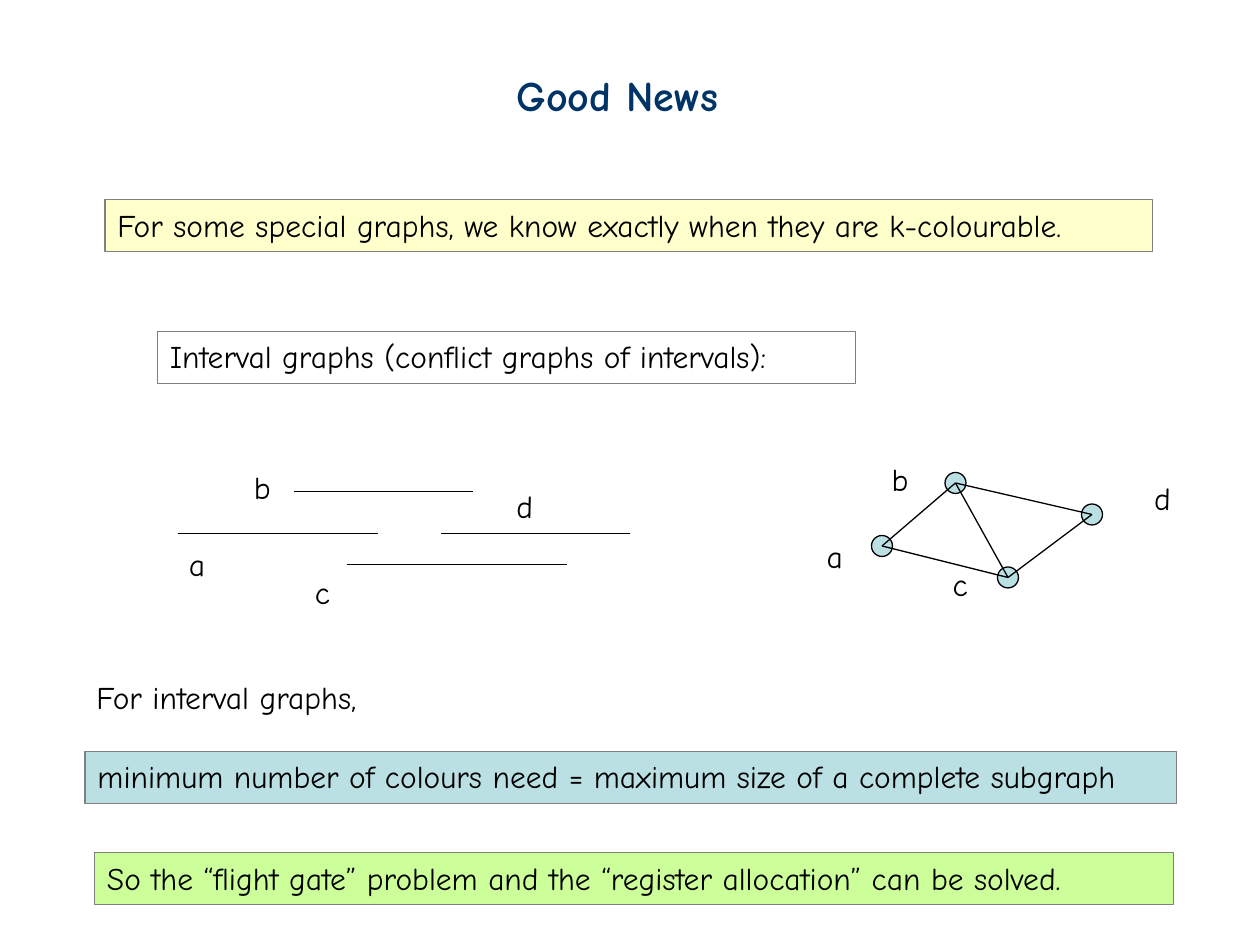
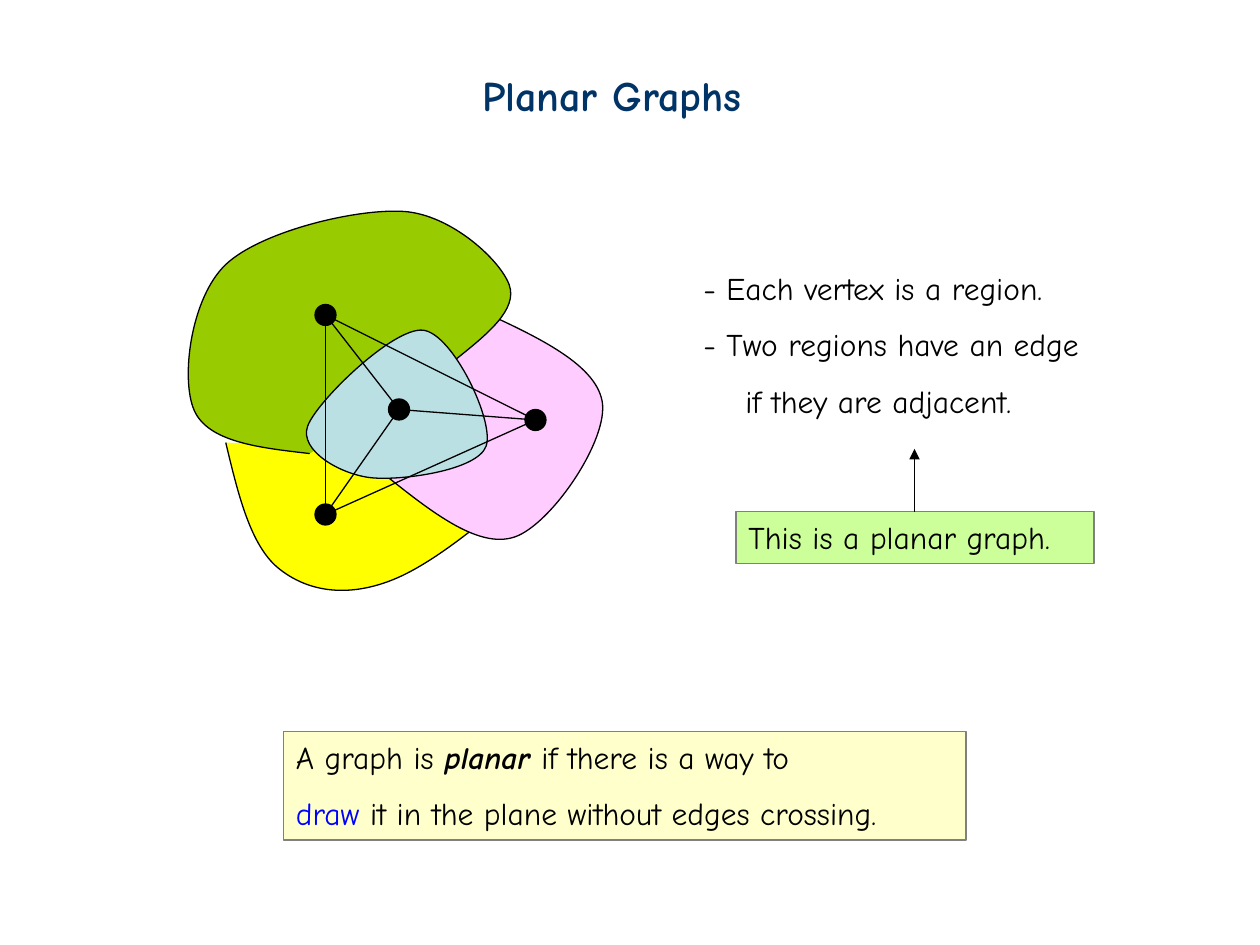
"""Build two slides on interval graphs and planar graphs."""
import dataclasses

import pptx
import pptx.dml.color
import pptx.enum.shapes
import pptx.util
from lxml import etree
from pptx.oxml.ns import qn

RGBColor = pptx.dml.color.RGBColor
BLACK = RGBColor(0x00, 0x00, 0x00)
GREY = RGBColor(0x80, 0x80, 0x80)
NAVY = RGBColor(0x00, 0x33, 0x66)
BLUE = RGBColor(0x00, 0x00, 0xFF)
CREAM = RGBColor(0xFF, 0xFF, 0xCC)
AQUA = RGBColor(0xBB, 0xE0, 0xE3)
LIME = RGBColor(0xCC, 0xFF, 0x99)
GREEN = RGBColor(0x99, 0xCC, 0x00)
YELLOW = RGBColor(0xFF, 0xFF, 0x00)
PINK = RGBColor(0xFF, 0xCC, 0xFF)

FONT = "Comic Neue"
CELL = pptx.util.Inches(10) // 120
LINE_WIDTH = pptx.util.Pt(0.75)
VERTEX_SIZE = 2
SHAPES = pptx.enum.shapes.MSO_SHAPE

LABELS = {"a": (-0.2, 4.55), "b": (6, -2.8), "c": (11.8, 7.2), "d": (31, -1)}
INTERVALS = [(0, 19, 4), (11, 28, 0), (16, 37, 6.95), (25, 43, 4)]
CONFLICT_VERTICES = {"b": (7, 0), "a": (0, 6), "d": (20, 3), "c": (12, 9)}
CONFLICT_EDGES = ["ab", "ac", "bc", "bd", "dc"]
MAP_VERTICES = {"n": (14, 10), "m": (21, 19), "e": (34, 20), "s": (14, 29)}
MAP_EDGES = ["ns", "se", "ne", "nm", "ms", "me"]
MAP_REGIONS = [
    (YELLOW, False, [(4.5, 22.15), (9.5, 34.1), (20.45, 35.2), (36.5, 23.2)]),
    (PINK, False, [(27.9, 9.2), (40.35, 18.2), (32, 31.15), (19.5, 25.1)]),
    (GREEN, False, [(12.5, 23.2), (1.5, 19.1), (4.5, 5.2),
                    (21.5, 0.15), (31.5, 7.15), (26.45, 14.2)]),
    (AQUA, True, [(12.3, 20.6), (23.3, 11.45), (29.3, 22.5), (18.3, 25.5)]),
]


@dataclasses.dataclass
class Region:
    """A part of a page whose origin is a cell of the slide grid."""
    page: object
    column: float = 0
    row: float = 0

    def point(self, column, row):
        """Return the slide position of a cell of this region."""
        return round((self.column + column) * CELL), round((self.row + row) * CELL)

    def inner(self, column, row):
        """Return a region that starts at a cell of this one."""
        return Region(self.page, self.column + column, self.row + row)


def paint(shape, fill, line):
    """Set fill and outline of a shape, None leaving the fill empty."""
    shape.shadow.inherit = False
    if fill is None:
        shape.fill.background()
    else:
        shape.fill.solid()
        shape.fill.fore_color.rgb = fill
    shape.line.color.rgb = line
    shape.line.width = LINE_WIDTH


def add_text(region, column, row, width, paragraphs, height=4.8, size=18,
             color=BLACK, bold=False):
    """Add a text box whose paragraphs are lists of (text, style) spans."""
    box = region.page.shapes.add_textbox(
        *region.point(column, row), round(width * CELL), round(height * CELL))
    frame = box.text_frame
    frame.word_wrap = True
    for index, spans in enumerate(paragraphs):
        para = frame.add_paragraph() if index else frame.paragraphs[0]
        if index:
            para.line_spacing = 1.5
        para.font.name = FONT
        para.font.size = pptx.util.Pt(size)
        para.font.bold = bold
        para.font.color.rgb = color
        for text, style in spans:
            span = para.add_run()
            span.text = text
            if style == "strong":
                span.font.bold = span.font.italic = True
            elif style == "blue":
                span.font.color.rgb = BLUE
    return box


def add_panel(region, column, row, width, paragraphs, fill=None, height=4.95):
    """Add a grey-framed text box with an optional fill."""
    paint(add_text(region, column, row, width, paragraphs, height), fill, GREY)


def plain(text):
    """Return one paragraph made of a single unstyled span."""
    return [(text, None)]


def add_line(region, start, end, arrow=False):
    """Draw a thin black line between two cells, with an optional arrowhead."""
    line = region.page.shapes.add_connector(
        pptx.enum.shapes.MSO_CONNECTOR.STRAIGHT,
        *region.point(*start), *region.point(*end))
    line.line.color.rgb = BLACK
    line.line.width = LINE_WIDTH
    if arrow:
        etree.SubElement(line.line._get_or_add_ln(), qn("a:tailEnd"), type="triangle")
    etree.SubElement(line._element.spPr, qn("a:effectLst"))


def add_graph(region, vertices, edges, fill):
    """Draw the vertices of a graph and then its edges."""
    for column, row in vertices.values():
        corner = region.point(column - VERTEX_SIZE / 2, row - VERTEX_SIZE / 2)
        vertex = region.page.shapes.add_shape(
            SHAPES.OVAL, *corner, VERTEX_SIZE * CELL, VERTEX_SIZE * CELL)
        paint(vertex, fill, BLACK)
    for first, second in edges:
        add_line(region, vertices[first], vertices[second])


def curve_points(knots, closed):
    """Return the knots with the two handles of each curve between them."""
    count = len(knots)
    handles = []
    for index, (x, y) in enumerate(knots):
        before, after = knots[index - 1], knots[(index + 1) % count]
        dx, dy = (after[0] - before[0]) / 6, (after[1] - before[1]) / 6
        handles.append([(x - dx, y - dy), (x + dx, y + dy)])
    if not closed:
        for end, near, side, facing in ((0, 1, 1, 0), (-1, -2, 0, 1)):
            handles[end][side] = tuple(
                (a + b) / 2 for a, b in zip(knots[end], handles[near][facing]))
    points = [knots[0]]
    for index in range(count if closed else count - 1):
        following = (index + 1) % count
        points += [handles[index][1], handles[following][0], knots[following]]
    return points


def add_curve(region, knots, closed, fill):
    """Draw a smooth filled outline through the knots."""
    points = [region.point(*point) for point in curve_points(knots, closed)]
    builder = region.page.shapes.build_freeform(*points[0])
    builder.add_line_segments(points[1:], close=closed)
    shape = builder.convert_to_shape()
    segments = list(shape._element.iter(qn("a:lnTo")))
    for first in range(0, len(segments), 3):
        curve = etree.Element(qn("a:cubicBezTo"))
        segments[first].addprevious(curve)
        for segment in segments[first:first + 3]:
            curve.append(segment[0])
            segment.getparent().remove(segment)
    paint(shape, fill, BLACK)


def add_map(region):
    """Draw the four map regions and the planar graph over them."""
    for fill, closed, knots in MAP_REGIONS:
        add_curve(region, knots, closed, fill)
    add_graph(region, MAP_VERTICES, MAP_EDGES, BLACK)


def add_labels(region):
    """Write the letters that name intervals and vertices."""
    for letter, (column, row) in LABELS.items():
        add_text(region, column, row, 4.1, [plain(letter)])


def add_intervals(region):
    """Draw the four overlapping intervals with their letters."""
    for start, end, row in INTERVALS:
        add_line(region, (start, row), (end, row))
    add_labels(region)


def add_conflict_graph(region):
    """Draw the conflict graph of the intervals with its letters."""
    add_graph(region, CONFLICT_VERTICES, CONFLICT_EDGES, AQUA)
    add_labels(region.inner(-6.25, 0))


def add_notes_on_map(region):
    """Write how the map becomes a graph, with the remark pointing at it."""
    notes = add_text(region, 0, 0, 40.1, [
        plain("- Each vertex is a region."),
        plain("- Two regions have an edge"),
        plain("if they are adjacent."),
    ], height=15.6)
    last = notes.text_frame.paragraphs[-1]
    last._p.get_or_add_pPr().set("marL", str(4 * CELL))
    add_panel(region, 4.3, 23.75, 34.1, [plain("This is a planar graph.")], LIME)
    add_line(region, (21.3, 23.75), (21.3, 17.75), arrow=True)


def add_page(deck, title, column, width):
    """Add a blank page with its title and return its whole area."""
    area = Region(deck.slides.add_slide(deck.slide_layouts[6]))
    add_text(area, column, 6, width, [plain(title)], height=6, size=24,
             color=NAVY, bold=True)
    return area


def build_good_news(deck):
    """Build the slide on colouring interval graphs."""
    area = add_page(deck, "Good News", 48, 23.6)
    add_panel(area, 10, 19, 99.75, [plain(
        "For some special graphs, we know exactly when they are k-colourable.")], CREAM)
    add_panel(area, 15, 31.55, 66.45, [plain(
        "Interval graphs (conflict graphs of intervals):")])
    add_intervals(area.inner(17, 46.8))
    add_conflict_graph(area.inner(84, 46))
    add_text(area, 8, 64, 29.9, [plain("For interval graphs,")])
    add_panel(area, 8.1, 71.55, 103.95, [plain(
        "minimum number of colours need = maximum size of a complete subgraph")], AQUA)
    add_panel(area, 9, 81.2, 102.75, [plain(
        "So the “flight gate” problem and the “register allocation” can be solved.")],
        LIME)


def build_planar_graphs(deck):
    """Build the slide that turns a map into a planar graph."""
    area = add_page(deck, "Planar Graphs", 44.75, 29.2)
    add_notes_on_map(area.inner(65.8, 25))
    add_panel(area, 27, 69.65, 65, [
        [("A graph is ", None), ("planar ", "strong"), ("if there is a way to", None)],
        [("draw ", "blue"), ("it in the plane without edges crossing.", None)],
    ], CREAM, height=10.35)
    add_map(area.inner(17, 20))


def main():
    """Build and save the deck."""
    deck = pptx.Presentation()
    deck.slide_width = 120 * CELL
    deck.slide_height = 90 * CELL
    build_good_news(deck)
    build_planar_graphs(deck)
    deck.save("out.pptx")


if __name__ == "__main__":
    main()
